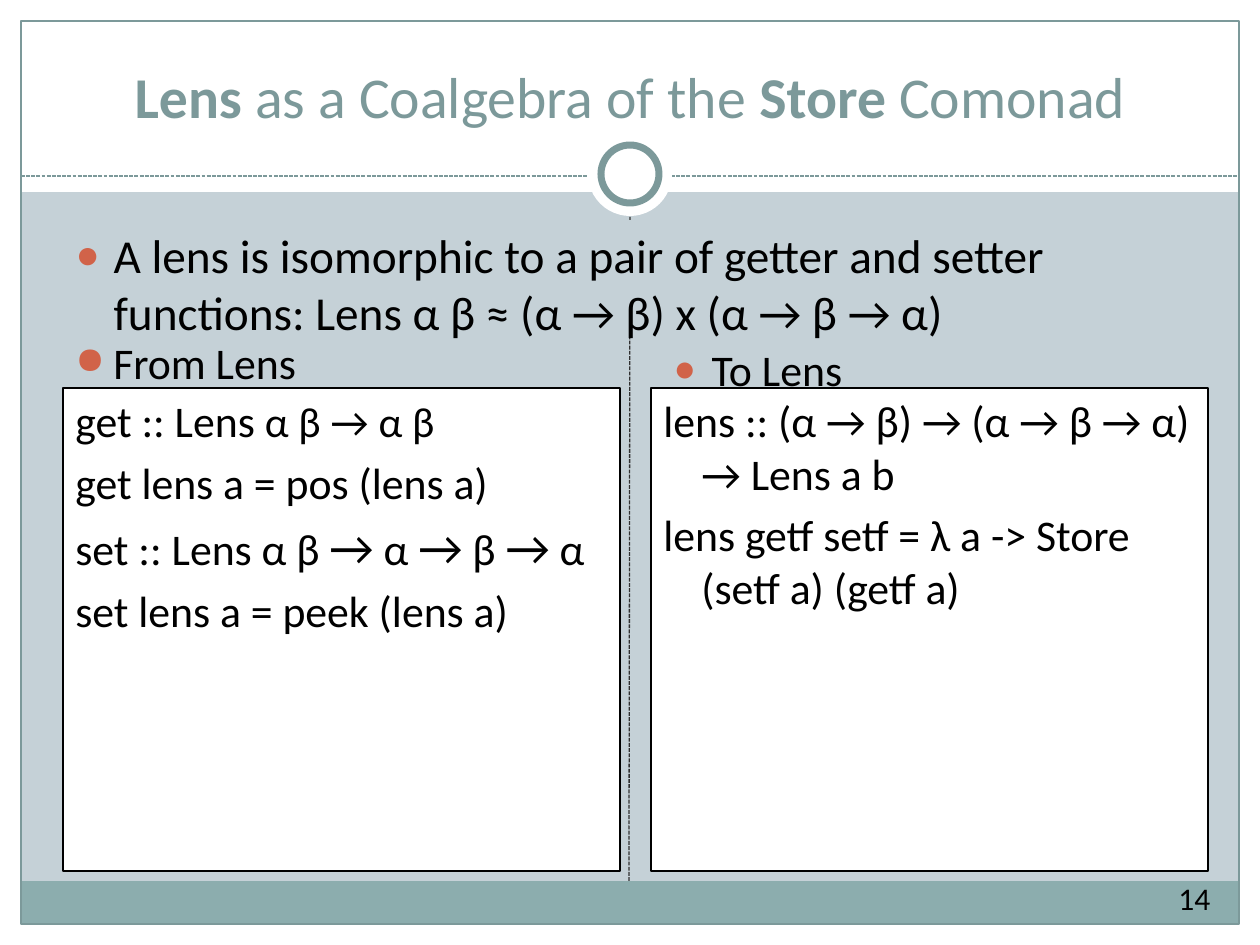
from itertools import groupby

from lxml import etree
from pptx import Presentation
from pptx import util as u
from pptx.dml.color import RGBColor
from pptx.enum import dml, shapes, text
from pptx.oxml.ns import qn

EMU_PER_PX = 914400 / 126
WIDTH, HEIGHT = 1260, 945
MARGIN = 21
FONT = "Calibri"
INDENT = 38
COLORS = {
    "background": "C5D1D7",
    "white": "FFFFFF",
    "footer": "8CADAE",
    "accent": "7C999A",
    "divider": "2F2F2F",
    "bullet": "D16349",
    "text": "000000",
}


def px(length):
    return u.Emu(round(length * EMU_PER_PX))


def box(*lengths):
    return [px(length) for length in lengths]


def rgb(name):
    return RGBColor.from_string(COLORS[name])


def paint(shape, fill=None, line=None, weight=0.75):
    if fill:
        shape.fill.solid()
        shape.fill.fore_color.rgb = rgb(fill)
    else:
        shape.fill.background()
    if line:
        shape.line.color.rgb = rgb(line)
        shape.line.width = u.Pt(weight)
    else:
        shape.line.fill.background()


def add_panel(slide, bounds, fill=None, line=None, weight=0.75,
              kind=shapes.MSO_SHAPE.RECTANGLE):
    shape = slide.shapes.add_shape(kind, *box(*bounds))
    shape.shadow.inherit = False
    paint(shape, fill, line, weight)


def add_dashed_line(slide, ends, color):
    line = slide.shapes.add_connector(shapes.MSO_CONNECTOR.STRAIGHT, *box(*ends))
    line.line.color.rgb = rgb(color)
    line.line.width = u.Pt(0.75)
    line.line.dash_style = dml.MSO_LINE.SQUARE_DOT
    properties = line.element.find(qn("p:spPr"))
    etree.SubElement(properties, qn("a:effectLst"))


def add_bullet(paragraph):
    properties = paragraph._p.get_or_add_pPr()
    color = etree.SubElement(properties, qn("a:buClr"))
    etree.SubElement(color, qn("a:srgbClr"), val=COLORS["bullet"])
    etree.SubElement(properties, qn("a:buSzPct"), val="85000")
    etree.SubElement(properties, qn("a:buChar"), char="●")


def hang_indent(paragraph):
    properties = paragraph._p.get_or_add_pPr()
    properties.set("marL", str(px(INDENT)))
    properties.set("indent", str(-px(INDENT)))


def set_font(paragraph, size, color="text"):
    paragraph.font.name = FONT
    paragraph.font.size = u.Pt(size)
    paragraph.font.color.rgb = rgb(color)


def prepare_frame(shape, anchor=text.MSO_ANCHOR.TOP, wrap=True):
    frame = shape.text_frame
    frame.word_wrap = wrap
    frame.auto_size = text.MSO_AUTO_SIZE.NONE
    frame.vertical_anchor = anchor
    return frame


def place(shape, bounds):
    shape.left, shape.top, shape.width, shape.height = box(*bounds)
    shape.element.getparent().append(shape.element)


def fill_title(title):
    place(title, (42, 31, 1176, 105))
    paragraph = prepare_frame(title, text.MSO_ANCHOR.BOTTOM).paragraphs[0]
    paragraph.alignment = text.PP_ALIGN.CENTER
    set_font(paragraph, 33, "accent")
    parts = ["Lens", " as a Coalgebra of the ", "Store ", "Comonad"]
    for index, part in enumerate(parts):
        run = paragraph.add_run()
        run.text = part
        run.font.bold = index % 2 == 0


def fill_bullet(shape, content, size, line_spacing=1.0):
    paragraph = prepare_frame(shape).paragraphs[0]
    paragraph.text = content
    paragraph.line_spacing = line_spacing
    paragraph.space_before = u.Pt(size * 0.2)
    hang_indent(paragraph)
    add_bullet(paragraph)
    set_font(paragraph, size)


def add_code_box(slide, bounds, lines, size=25):
    shape = slide.shapes.add_textbox(*box(*bounds))
    paint(shape, "white", "text")
    frame = prepare_frame(shape)
    for index, (content, symbols, symbol_size) in enumerate(lines):
        paragraph = frame.add_paragraph() if index else frame.paragraphs[0]
        paragraph.space_before = u.Pt(size * 0.2)
        hang_indent(paragraph)
        set_font(paragraph, size)
        for is_symbol, letters in groupby(content, lambda letter: letter in symbols):
            run = paragraph.add_run()
            run.text = "".join(letters)
            if is_symbol:
                run.font.size = u.Pt(symbol_size)


def draw_theme(slide):
    slide.background.fill.solid()
    slide.background.fill.fore_color.rgb = rgb("background")
    for bounds in [
        (0, HEIGHT - MARGIN, WIDTH, MARGIN),
        (0, 0, WIDTH, 192),
        (0, 0, MARGIN, HEIGHT),
        (WIDTH - MARGIN, 0, MARGIN, HEIGHT),
    ]:
        add_panel(slide, bounds, "white")
    add_panel(slide, (MARGIN, 881, WIDTH - 2 * MARGIN, 43), "footer")
    add_panel(slide, (MARGIN, MARGIN, WIDTH - 2 * MARGIN, HEIGHT - 2 * MARGIN),
              line="accent")
    add_dashed_line(slide, (MARGIN, 176, WIDTH - MARGIN, 176), "accent")
    oval = shapes.MSO_SHAPE.OVAL
    add_panel(slide, (588, 132, 84, 84), "white", kind=oval)
    add_panel(slide, (601, 145, 58, 58), "white", "accent", 4, oval)
    add_dashed_line(slide, (629, 881, 630, 217), "divider")


def add_page_number(slide, number):
    shape = slide.shapes.add_textbox(*box(1166, 873, 63, 50))
    paragraph = prepare_frame(shape, wrap=False).paragraphs[0]
    paragraph.text = number
    set_font(paragraph, 18)


def main():
    presentation = Presentation()
    presentation.slide_width, presentation.slide_height = box(WIDTH, HEIGHT)
    slide = presentation.slides.add_slide(presentation.slide_layouts[3])
    title, intro, to_heading = slide.placeholders

    draw_theme(slide)
    add_page_number(slide, "14")
    fill_title(title)

    place(intro, (63, 220, 1155, 116))
    paint(intro, "background")
    fill_bullet(intro, "A lens is isomorphic to a pair of getter and setter "
                       "functions: Lens α β ≈ (α → β) x (α → β → α)", 27)
    place(to_heading, (661, 336, 557, 63))
    fill_bullet(to_heading, "To Lens", 25)
    from_heading = slide.shapes.add_textbox(*box(63, 336, 557, 63))
    fill_bullet(from_heading, "From Lens", 25, 0.9)

    add_code_box(slide, (63, 388, 557, 483), [
        ("get :: Lens α β → α β", "αβ→", 24),
        ("get lens a = pos (lens a)", "", 25),
        ("set :: Lens α β → α → β → α", "→", 28),
        ("set lens a = peek (lens a)", "", 25),
    ])
    add_code_box(slide, (651, 388, 557, 483), [
        ("lens :: (α → β) → (α → β → α) → Lens a b", "", 25),
        ("lens getf setf = λ a -> Store (setf a) (getf a)", "", 25),
    ])
    presentation.save("out.pptx")


if __name__ == "__main__":
    main()
